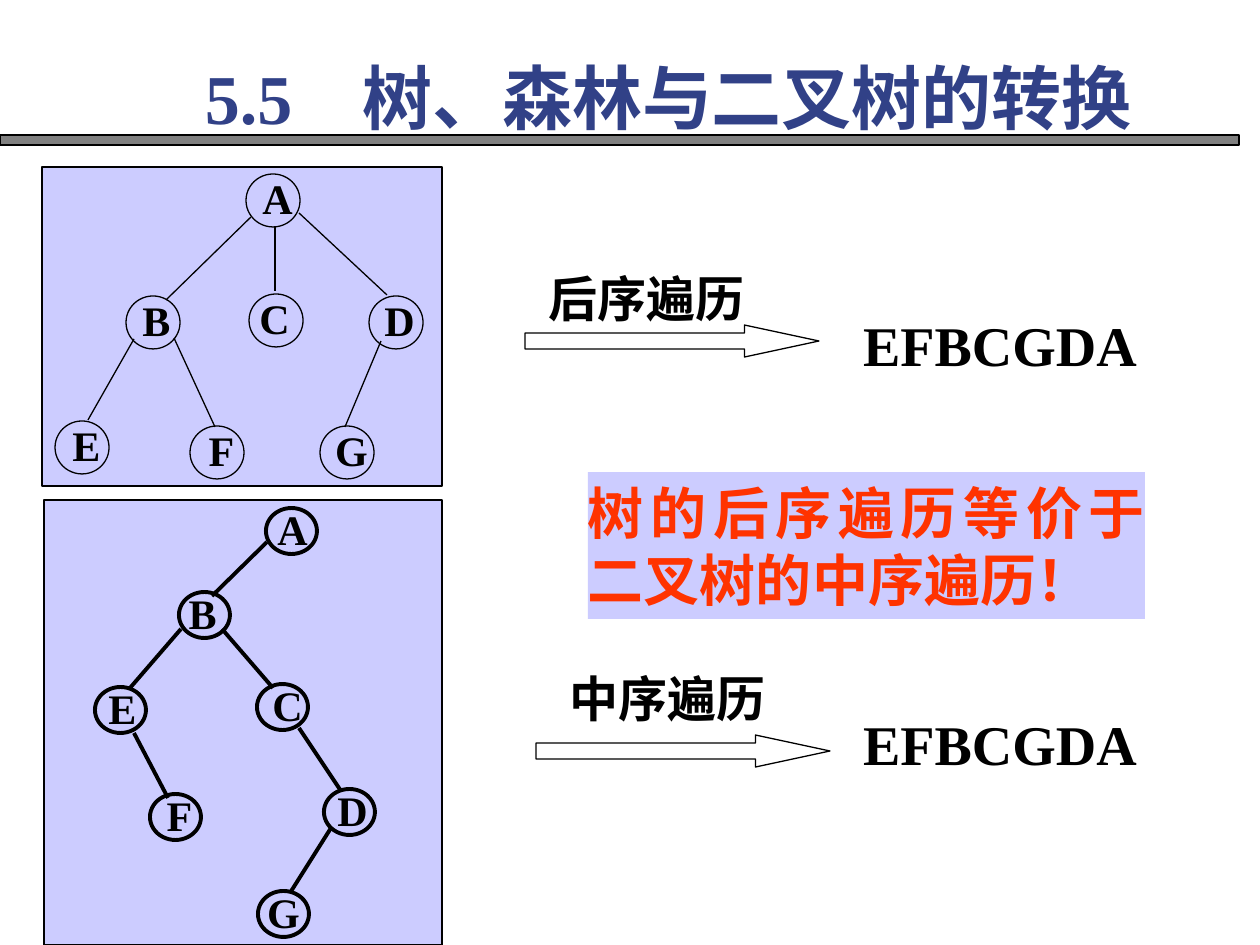
import pptx
import pptx.dml.color
import pptx.enum.shapes
import pptx.enum.text
import pptx.oxml
import pptx.oxml.ns
import pptx.util

SHAPE = pptx.enum.shapes.MSO_SHAPE
ALIGN = pptx.enum.text.PP_ALIGN
FONT = "Times New Roman"
BLACK, GRAY, LAVENDER, RED, NAVY = "000000", "808080", "CCCCFF", "FF3300", "314187"

# Each node: circle left, circle top, label left
TREE_NODES = {
    "A": (246, 174, 255), "B": (126, 296, 134), "C": (249, 294, 252),
    "D": (369, 296, 377), "E": (55, 421, 64), "F": (190, 426, 199),
    "G": (320, 426, 329),
}
TREE_EDGES = [
    (251, 217, 166, 300), (275, 227, 275, 291), (299, 213, 387, 295),
    (134, 339, 88, 420), (174, 338, 215, 427), (381, 341, 345, 427),
]
BINARY_NODES = {
    "A": (266, 508, 271), "B": (179, 592, 181), "C": (257, 684, 266),
    "D": (324, 789, 331), "E": (95, 687, 101), "F": (150, 794, 158),
    "G": (258, 891, 262),
}
BINARY_EDGES = [
    (267, 542, 212, 596), (181, 629, 130, 688), (222, 629, 273, 688),
    (134, 733, 168, 798), (299, 728, 341, 791), (331, 828, 290, 893),
]


def px(n):
    return pptx.util.Emu(round(n * 914400 / 126))


def color(hex_string):
    return pptx.dml.color.RGBColor.from_string(hex_string)


class Painter:
    def __init__(self, slide):
        self.s = slide

    def set_text(self, sp, text, size, rgb=BLACK, align=ALIGN.LEFT, insets=(13, 6, 13, 6)):
        """Fill a shape's text frame; insets are left, top, right, bottom."""
        tf = sp.text_frame
        tf.word_wrap = True
        tf.auto_size = pptx.enum.text.MSO_AUTO_SIZE.NONE
        tf.vertical_anchor = pptx.enum.text.MSO_ANCHOR.TOP
        tf.margin_left, tf.margin_top, tf.margin_right, tf.margin_bottom = map(px, insets)
        p = tf.paragraphs[0]
        p.text = text
        p.alignment = align
        p.font.name = FONT
        p.font.size = pptx.util.Pt(size)
        p.font.bold = True
        p.font.color.rgb = color(rgb)

    def title(self, text, box):
        sp = self.s.shapes.title
        sp.left, sp.top, sp.width, sp.height = map(px, box)
        self.set_text(sp, text, 40, NAVY, ALIGN.JUSTIFY)

    def text(self, text, box, size, **style):
        self.set_text(self.s.shapes.add_textbox(*map(px, box)), text, size, **style)

    def shape(self, kind, box, fill=None, width=0.75):
        """Add a preset shape; a width of 0 leaves it without an outline."""
        sp = self.s.shapes.add_shape(kind, *map(px, box))
        sp.shadow.inherit = False
        if fill:
            sp.fill.solid()
            sp.fill.fore_color.rgb = color(fill)
        else:
            sp.fill.background()
        if width:
            sp.line.color.rgb = color(BLACK)
            sp.line.width = pptx.util.Pt(width)
        else:
            sp.line.fill.background()
        return sp

    def edge(self, ends, width):
        line = self.s.shapes.add_connector(
            pptx.enum.shapes.MSO_CONNECTOR.STRAIGHT, *map(px, ends))
        line.line.color.rgb = color(BLACK)
        line.line.width = pptx.util.Pt(width)
        sp_pr = line._element.spPr
        sp_pr.append(pptx.oxml.parse_xml(
            "<a:effectLst %s/>" % pptx.oxml.ns.nsdecls("a")))

    def tree(self, panel, nodes, edges, circle, label, rise, insets, width):
        """Draw a panel with a tree; each label starts rise px above its circle."""
        self.shape(SHAPE.RECTANGLE, panel, LAVENDER)
        for name, (x, y, label_x) in nodes.items():
            self.text(name, (label_x, y - rise, *label), 24,
                      align=ALIGN.CENTER, insets=insets)
            self.shape(SHAPE.OVAL, (x, y, *circle), width=width)
        for ends in edges:
            self.edge(ends, width)

    def traversal(self, name, name_box, arrow_at, result, result_at):
        arrow = self.shape(SHAPE.RIGHT_ARROW, (*arrow_at, 294, 32))
        arrow.adjustments[0] = 0.5
        arrow.adjustments[1] = 2.33
        self.text(name, name_box, 28)
        self.text(result, (*result_at, 336, 80), 32)

    def note(self, text, box):
        sp = self.shape(SHAPE.RECTANGLE, box, LAVENDER, width=0)
        self.set_text(sp, text, 32, RED, ALIGN.JUSTIFY, (0, 6, 0, 6))


def main():
    prs = pptx.Presentation()
    prs.slide_width, prs.slide_height = px(1260), px(945)
    painter = Painter(prs.slides.add_slide(prs.slide_layouts[5]))

    painter.shape(SHAPE.RECTANGLE, (0, 135, 1239, 10), GRAY)
    painter.title("5.5　树、森林与二叉树的转换", (192, 48, 971, 97))
    painter.traversal("后序遍历", (536, 262, 242, 72), (525, 325),
                      "EFBCGDA", (850, 305))
    painter.traversal("中序遍历", (557, 662, 231, 72), (536, 735),
                      "EFBCGDA", (850, 703))
    painter.note("树的后序遍历等价于二叉树的中序遍历！", (588, 472, 557, 147))
    painter.tree((42, 167, 400, 319), TREE_NODES, TREE_EDGES, circle=(54, 53),
                 label=(45, 63), rise=10, insets=(5, 9, 5, 1), width=0.75)
    painter.tree((44, 500, 398, 445), BINARY_NODES, BINARY_EDGES, circle=(51, 46),
                 label=(43, 55), rise=9, insets=(3, 4, 3, 1), width=2.25)
    prs.save("out.pptx")


if __name__ == "__main__":
    main()
